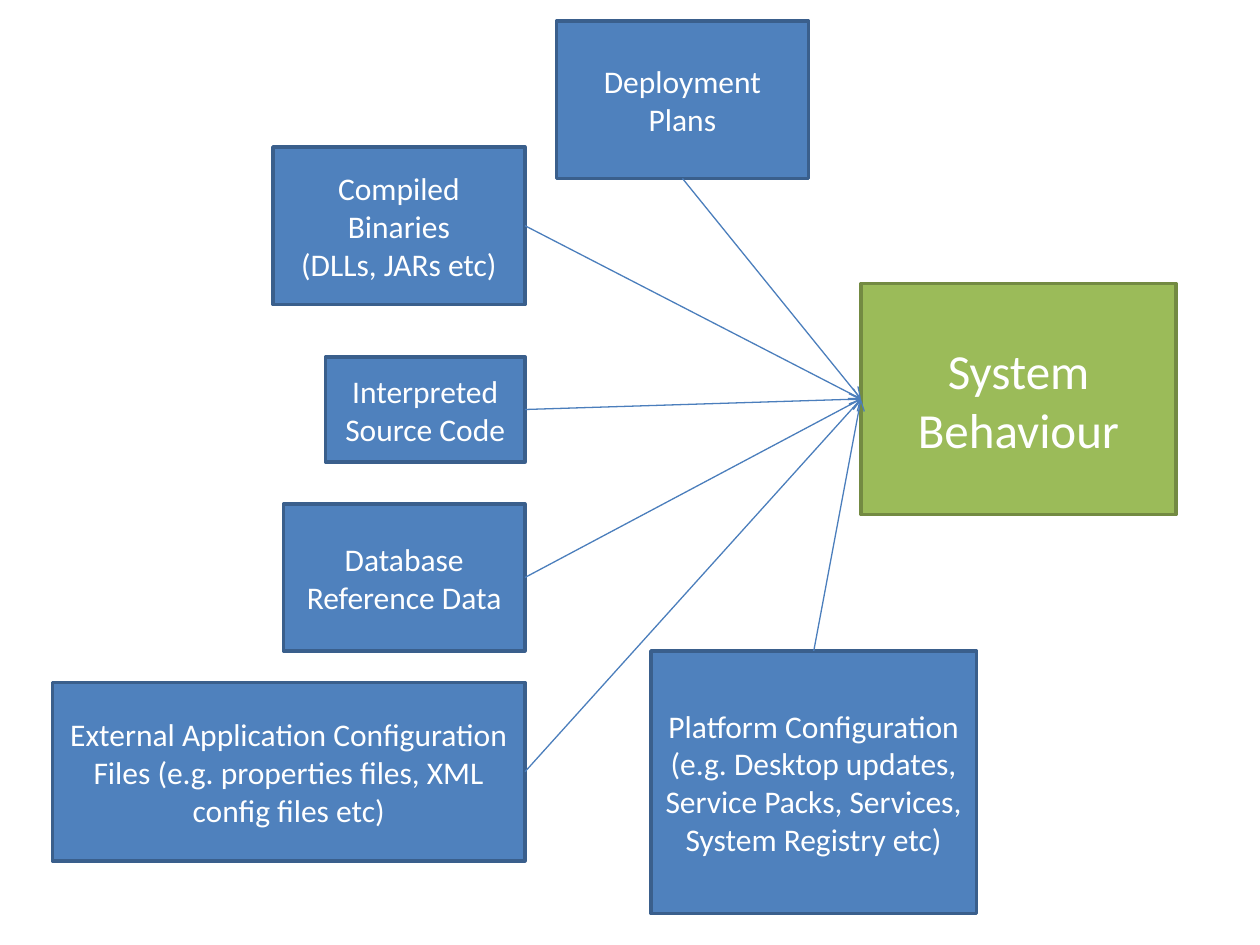
from lxml import etree
from pptx import Presentation
from pptx.dml.color import RGBColor
from pptx.enum.shapes import MSO_CONNECTOR, MSO_SHAPE
from pptx.enum.text import MSO_ANCHOR, PP_ALIGN
from pptx.oxml.ns import qn
from pptx.util import Inches, Pt

CELL = Inches(1) // 12  # the slide is a grid of 120 columns by 90 rows
TOP, LEFT, BOTTOM, RIGHT = range(4)  # connection sites of a rectangle

# text, box (column, row, columns, rows), side the arrow leaves from
FACTORS = [
    ("Compiled Binaries\n(DLLs, JARs etc)", (26, 14, 24, 15), RIGHT),
    ("Interpreted Source Code", (31, 34, 19, 10), RIGHT),
    ("External Application Configuration Files "
     "(e.g. properties files, XML config files etc)", (5, 65, 45, 17), RIGHT),
    ("Platform Configuration\n(e.g. Desktop updates, Service Packs, Services, "
     "System Registry etc)", (62, 62, 31, 25), TOP),
    ("Database Reference Data", (27, 48, 23, 14), RIGHT),
    ("Deployment Plans", (53, 2, 24, 15), BOTTOM),
]


def rgb(value):
    """Turn a hex string into a colour."""
    return RGBColor.from_string(value)


def add_box(slide, text, box, fill, line, size):
    """Draw a rectangle with centred white text in a grid box."""
    shape = slide.shapes.add_shape(MSO_SHAPE.RECTANGLE, *(n * CELL for n in box))
    shape.shadow.inherit = False
    shape.fill.solid()
    shape.fill.fore_color.rgb = rgb(fill)
    shape.line.color.rgb = rgb(line)
    shape.line.width = Pt(2)
    frame = shape.text_frame
    frame.word_wrap = True
    frame.vertical_anchor = MSO_ANCHOR.MIDDLE
    frame.text = text
    for paragraph in frame.paragraphs:
        paragraph.alignment = PP_ALIGN.CENTER
        font = paragraph.runs[0].font
        font.name = "Calibri"
        font.size = Pt(size)
        font.color.rgb = rgb("FFFFFF")
    return shape


def add_arrow(slide, source, side, target):
    """Join one side of the source box to the left side of the target."""
    arrow = slide.shapes.add_connector(MSO_CONNECTOR.STRAIGHT, 0, 0, 0, 0)
    arrow.begin_connect(source, side)
    arrow.end_connect(target, LEFT)
    arrow.line.color.rgb = rgb("4B7EBC")
    arrow.line.width = Pt(0.75)
    etree.SubElement(arrow.line._get_or_add_ln(), qn("a:tailEnd"), type="arrow")
    etree.SubElement(arrow._element.spPr, qn("a:effectLst"))


def add_influences(slide):
    """Draw the system behaviour box and the factors that point to it."""
    behaviour = add_box(slide, "System Behaviour", (82, 27, 30, 22),
                        "9BBB59", "738A42", 28)
    for text, box, side in FACTORS:
        factor = add_box(slide, text, box, "4F81BD", "3A5F8C", 18)
        add_arrow(slide, factor, side, behaviour)


def main():
    """Build and save the slide."""
    deck = Presentation()
    deck.slide_width, deck.slide_height = 120 * CELL, 90 * CELL
    add_influences(deck.slides.add_slide(deck.slide_layouts[6]))
    deck.save("out.pptx")


main()
